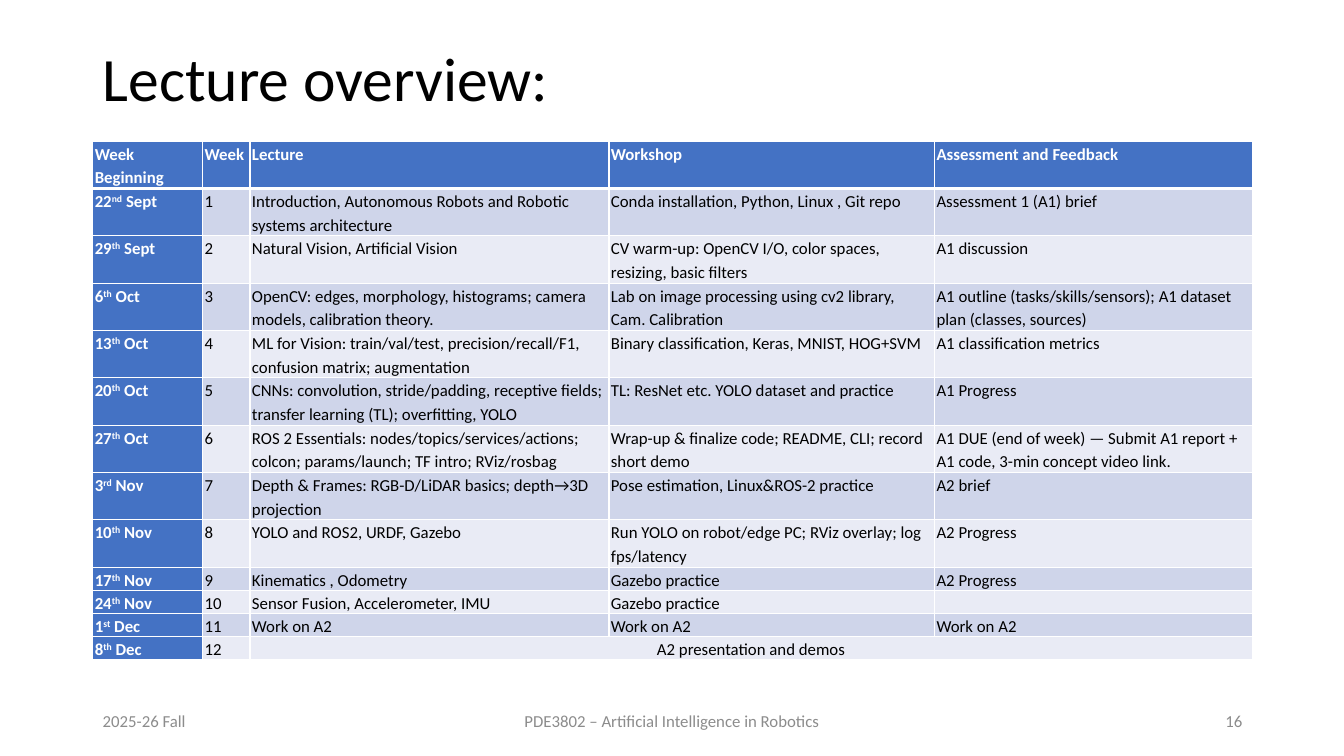
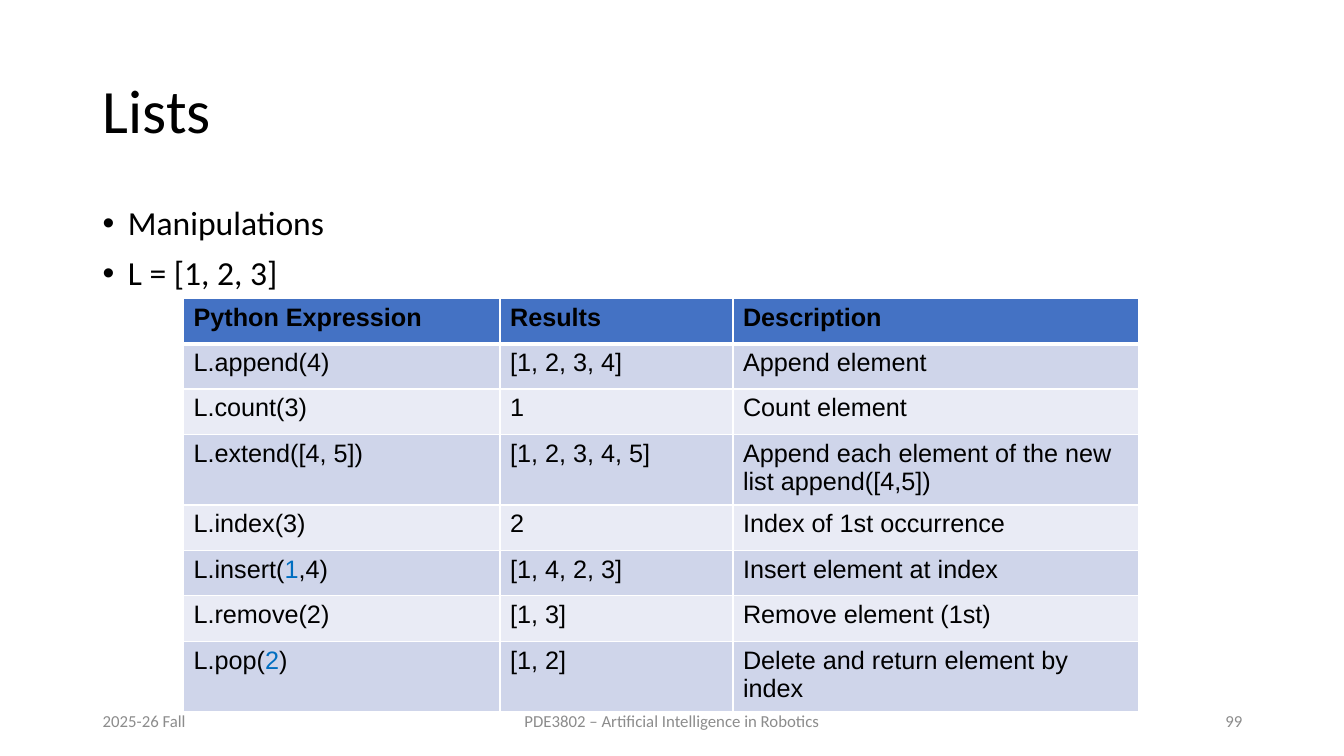
from lxml import etree
from pptx import Presentation
from pptx import util as u
from pptx.dml.color import RGBColor
from pptx.enum import text
from pptx.oxml import ns

# Shared look
W, H = 13.33, 7.5
MARGIN, CONTENT = 0.92, 11.5
BLACK, WHITE, GREY, ACCENT = "000000", "FFFFFF", "8C8C8C", "006EC0"
HEAD, BANDS = "4472C4", ("CFD5EA", "E9EBF5")
TITLE = {"name": "Calibri", "size": u.Pt(44), "color": BLACK}
BODY = {"name": "Calibri", "size": u.Pt(24), "color": BLACK}
FOOTER = {"name": "Calibri", "size": u.Pt(12), "color": GREY}
ALIGN = text.PP_ALIGN
MARK = "^"  # encloses a superscript or an accented part

# Lecture plan
PLAN_COLS = [1.09, 0.47, 3.56, 3.23, 3.15]
PLAN_ROWS = [0.47] * 9 + [0.23] * 4
PLAN = [
    ["Week Beginning", "Week", "Lecture", "Workshop", "Assessment and Feedback"],
    ["22^nd^ Sept", "1", "Introduction, Autonomous Robots and Robotic systems architecture",
     "Conda installation, Python, Linux , Git repo", "Assessment 1 (A1) brief"],
    ["29^th^ Sept", "2", "Natural Vision, Artificial Vision",
     "CV warm-up: OpenCV I/O, color spaces, resizing, basic filters", "A1 discussion"],
    ["6^th^ Oct", "3", "OpenCV: edges, morphology, histograms; camera models, calibration theory.",
     "Lab on image processing using cv2 library, Cam. Calibration",
     "A1 outline (tasks/skills/sensors); A1 dataset plan (classes, sources)"],
    ["13^th^ Oct", "4",
     "ML for Vision: train/val/test, precision/recall/F1, confusion matrix; augmentation",
     "Binary classification, Keras, MNIST, HOG+SVM", "A1 classification metrics"],
    ["20^th^ Oct", "5",
     "CNNs: convolution, stride/padding, receptive fields; "
     "transfer learning (TL); overfitting, YOLO",
     "TL: ResNet etc. YOLO dataset and practice", "A1 Progress"],
    ["27^th^ Oct", "6",
     "ROS 2 Essentials: nodes/topics/services/actions; "
     "colcon; params/launch; TF intro; RViz/rosbag",
     "Wrap-up & finalize code; README, CLI; record short demo",
     "A1 DUE (end of week) — Submit A1 report + A1 code, 3-min concept video link."],
    ["3^rd^ Nov", "7", "Depth & Frames: RGB-D/LiDAR basics; depth→3D projection",
     "Pose estimation, Linux&ROS-2 practice", "A2 brief"],
    ["10^th^ Nov", "8", "YOLO and ROS2, URDF, Gazebo",
     "Run YOLO on robot/edge PC; RViz overlay; log fps/latency", "A2 Progress"],
    ["17^th^ Nov", "9", "Kinematics , Odometry", "Gazebo practice", "A2 Progress"],
    ["24^th^ Nov", "10", "Sensor Fusion, Accelerometer, IMU", "Gazebo practice", ""],
    ["1^st^ Dec", "11", "Work on A2", "Work on A2", "Work on A2"],
    ["8^th^ Dec", "12", "A2 presentation and demos", "", ""],
]

# List methods
LIST_COLS = [3.14, 2.31, 4.02]
LIST_ROWS = [0.45, 0.45, 0.45, 0.65, 0.45, 0.45, 0.45, 0.65]
LIST_METHODS = [
    ["Python Expression", "Results", "Description"],
    ["L.append(4)", "[1, 2, 3, 4]", "Append element"],
    ["L.count(3)", "1", "Count element"],
    ["L.extend([4, 5])", "[1, 2, 3, 4, 5]", "Append each element of the new list append([4,5])"],
    ["L.index(3)", "2", "Index of 1st occurrence"],
    ["L.insert(^1^,4)", "[1, 4, 2, 3]", "Insert element at index"],
    ["L.remove(2)", "[1, 3]", "Remove element (1st)"],
    ["L.pop(^2^)", "[1, 2]", "Delete and return element by index"],
]


def rgb(value):
    return RGBColor.from_string(value)


def set_all(obj, values):
    for name, value in values.items():
        setattr(obj, name, value)


def add_run(p, words, fmt):
    r = p.add_run()
    r.text = words
    for name, value in fmt.items():
        if name == "color":
            r.font.color.rgb = rgb(value)
        elif name == "baseline":
            r.font._element.set("baseline", str(value))
        else:
            setattr(r.font, name, value)


def write(p, words, fmt, marked=None, **layout):
    """Fill a paragraph; parts between marks take the marked format too."""
    set_all(p, layout)
    if not words:
        p._p.get_or_add_endParaRPr().set("sz", str(int(fmt["size"].pt * 100)))
        return
    for i, part in enumerate(words.split(MARK)):
        add_run(p, part, {**fmt, **(marked or {})} if i % 2 else fmt)


def add_box(s, left, top, width, height, anchor=text.MSO_ANCHOR.MIDDLE):
    sp = s.shapes.add_textbox(*map(u.Inches, (left, top, width, height)))
    tf = sp.text_frame
    set_all(tf, {"word_wrap": True, "vertical_anchor": anchor})
    return tf


def add_bullets(s, top, height, lines):
    tf = add_box(s, MARGIN, top, CONTENT, height, text.MSO_ANCHOR.TOP)
    for i, line in enumerate(lines):
        p = tf.add_paragraph() if i else tf.paragraphs[0]
        pPr = p._p.get_or_add_pPr()
        pPr.set("marL", str(u.Inches(0.25)))
        pPr.set("indent", str(u.Inches(-0.25)))
        etree.SubElement(pPr, ns.qn("a:buFont")).set("typeface", "Arial")
        etree.SubElement(pPr, ns.qn("a:buChar")).set("char", "•")
        write(p, line, BODY, line_spacing=0.9, space_before=u.Pt(10 if i else 0))


def add_slide(prs, title, title_height, number):
    """A slide with the shared title and footer."""
    s = prs.slides.add_slide(prs.slide_layouts[6])
    tf = add_box(s, MARGIN, 0.4, 9.65, title_height)
    write(tf.paragraphs[0], title, TITLE, line_spacing=0.9)
    footers = [
        (MARGIN, 3, "2025-26 Fall", ALIGN.LEFT),
        ((W - 4.5) / 2, 4.5, "PDE3802 – Artificial Intelligence in Robotics", ALIGN.CENTER),
        (MARGIN + CONTENT - 3, 3, str(number), ALIGN.RIGHT),
    ]
    for left, width, words, align in footers:
        tf = add_box(s, left, 6.95, width, 0.4)
        write(tf.paragraphs[0], words, FOOTER, alignment=align)
    return s


def set_borders(cell, **widths):
    tcPr = cell._tc.get_or_add_tcPr()
    for side in "LRTB":
        ln = etree.SubElement(tcPr, ns.qn("a:ln" + side), w=str(u.Pt(widths.get(side, 1))))
        fill = etree.SubElement(ln, ns.qn("a:solidFill"))
        etree.SubElement(fill, ns.qn("a:srgbClr"), val=WHITE)


def add_grid(s, left, top, cols, rows, data, fmt, head, marked,
             head_col=False, cell_fmt=None, layout=None):
    """A banded table with a heading row and, if wanted, a heading column."""
    size = map(u.Inches, (left, top, sum(cols), sum(rows)))
    table = s.shapes.add_table(len(rows), len(cols), *size).table
    for col, width in zip(table.columns, cols):
        col.width = u.Inches(width)
    for i, (row, height) in enumerate(zip(table.rows, rows)):
        row.height = u.Inches(height)
        for j, cell in enumerate(row.cells):
            heading = i == 0 or (head_col and j == 0)
            set_all(cell, cell_fmt or {})
            set_borders(cell, T=3 if i == 1 else 1, B=3 if i == 0 else 1)
            cell.fill.solid()
            cell.fill.fore_color.rgb = rgb(HEAD if heading else BANDS[(i - 1) % 2])
            write(cell.text_frame.paragraphs[0], data[i][j],
                  {**fmt, **head} if heading else fmt, marked, **(layout or {}))
    return table


def lecture_overview(prs):
    s = add_slide(prs, "Lecture overview:", 0.82, 16)
    side = u.Inches(0.02)
    table = add_grid(
        s, MARGIN, 1.4, PLAN_COLS, PLAN_ROWS, PLAN,
        fmt={"name": "Calibri", "size": u.Pt(12), "color": BLACK, "bold": False},
        head={"color": WHITE, "bold": True}, marked={"baseline": 30000}, head_col=True,
        cell_fmt={"margin_left": side, "margin_right": side, "margin_top": 0, "margin_bottom": 0},
        layout={"line_spacing": 1.15, "space_after": u.Pt(10)})
    # The last week spans the three content columns
    last = len(PLAN) - 1
    demos = table.cell(last, 2)
    demos.merge(table.cell(last, 4))
    demos.text_frame.paragraphs[0].alignment = ALIGN.CENTER


def list_manipulations(prs):
    s = add_slide(prs, "Lists", 1.45, 99)
    add_bullets(s, 2, 4.76, ["Manipulations", "L = [1, 2, 3]"])
    add_grid(
        s, 1.82, 2.96, LIST_COLS, LIST_ROWS, LIST_METHODS,
        fmt={"name": "Arial", "size": u.Pt(18), "color": BLACK, "bold": False},
        head={"bold": True}, marked={"color": ACCENT})


def main():
    prs = Presentation()
    prs.slide_width, prs.slide_height = u.Inches(W), u.Inches(H)
    lecture_overview(prs)
    list_manipulations(prs)
    prs.save("out.pptx")


if __name__ == "__main__":
    main()
